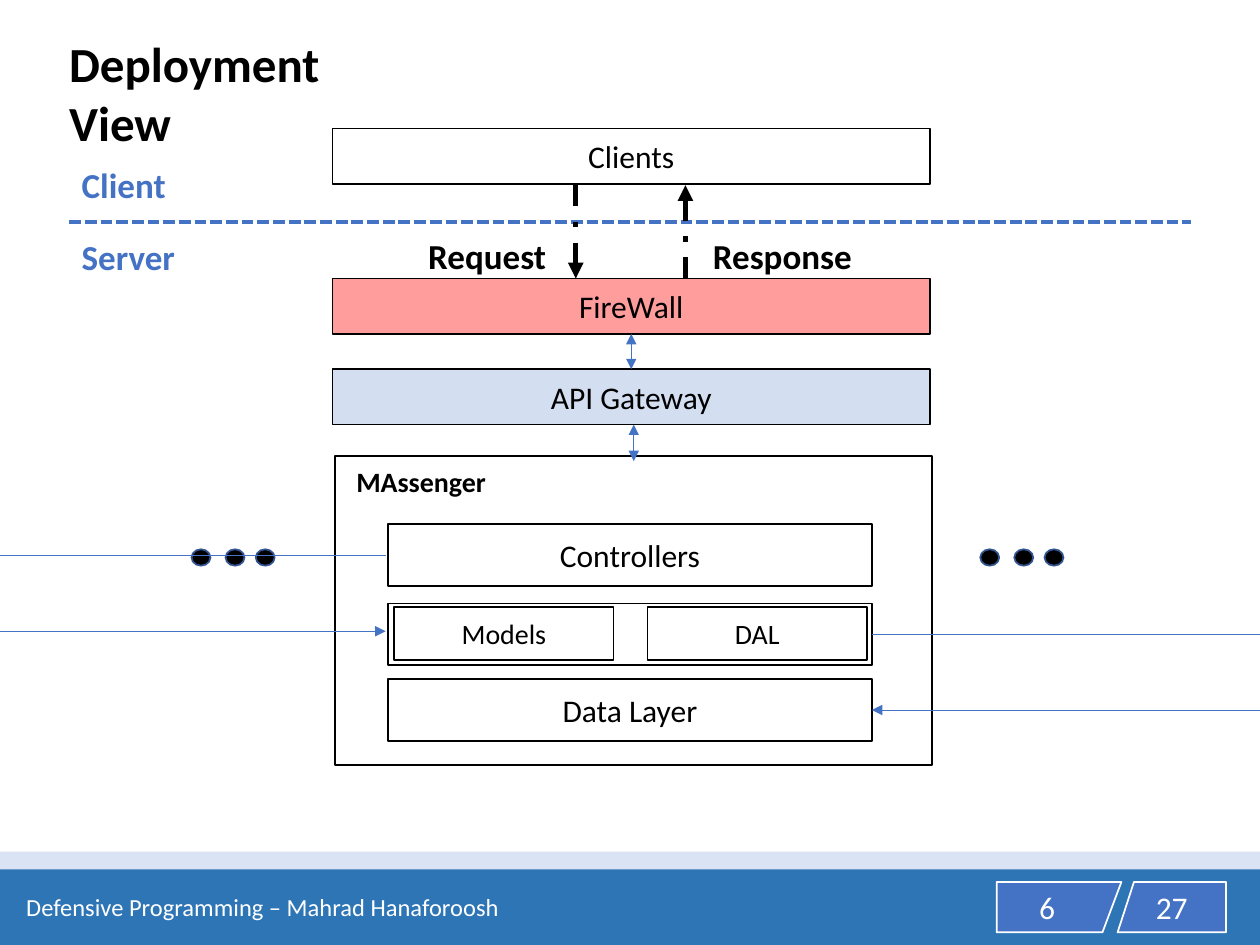
from pptx import Presentation
from pptx.dml.color import RGBColor
from pptx.enum.dml import MSO_LINE_DASH_STYLE as Dash
from pptx.enum.shapes import MSO_CONNECTOR as Wire, MSO_SHAPE as Form
from pptx.enum.text import MSO_ANCHOR as Anchor, PP_ALIGN as Align
from pptx.oxml.ns import qn
from pptx.util import Inches, Pt
from lxml.etree import SubElement

THEME = {
    "font": "Calibri", "title": 28, "label": 20, "body": 18, "small": 16, "footer": 14,
    "black": "000000", "white": "FFFFFF", "blue": "4472C4", "pale": "DAE3F3",
    "band": "2E75B6", "red": "FF0000", "gateway": "8FAADC", "dot_edge": "325491",
}
COLUMNS, ROWS = 100, 75

deck = Presentation()
deck.slide_width, deck.slide_height = Inches(10), Inches(7.5)
slide = deck.slides.add_slide(deck.slide_layouts[6])
shapes = slide.shapes
column, row = deck.slide_width / COLUMNS, deck.slide_height / ROWS


def put(area, text="", size="body", ink="black", fill=None, edge=None, bold=False,
        form=Form.RECTANGLE, outline=None, align=Align.CENTER, anchor=Anchor.MIDDLE, alpha=None):
    if outline:
        points = [(round(x * column), round(y * row)) for x, y in outline]
        builder = shapes.build_freeform(*points[0], scale=1.0)
        builder.add_line_segments(points[1:], close=True)
        part = builder.convert_to_shape()
    else:
        left, top, width, height = area
        place = [round(v) for v in (left * column, top * row, width * column, height * row)]
        part = shapes.add_shape(form, *place) if fill else shapes.add_textbox(*place)
    if fill:
        part.shadow.inherit = False
        part.fill.solid()
        part.fill.fore_color.rgb = RGBColor.from_string(THEME[fill])
        if alpha:
            color = part.fill._xPr.find(qn("a:solidFill"))[0]
            SubElement(color, qn("a:alpha"), val=str(alpha * 1000))
        if edge:
            part.line.color.rgb = RGBColor.from_string(THEME[edge])
            part.line.width = Pt(1)
        else:
            part.line.fill.background()
    if text:
        part.text_frame.word_wrap = True
        part.text_frame.vertical_anchor = anchor
        paragraph = part.text_frame.paragraphs[0]
        paragraph.alignment = align
        run = paragraph.add_run()
        run.text = text
        run.font.color.rgb = RGBColor.from_string(THEME[ink])
        for key, value in {"name": THEME["font"], "size": Pt(THEME[size]), "bold": bold}.items():
            setattr(run.font, key, value)
    return part


def link(start, finish, width=0.5, ink="blue", dash=None, ends=(), begin=None, end=None):
    ends_at = [round(v) for x, y in (start, finish) for v in (x * column, y * row)]
    wire = shapes.add_connector(Wire.STRAIGHT, *ends_at)
    if begin:
        wire.begin_connect(*begin)
    if end:
        wire.end_connect(*end)
    wire.line.color.rgb = RGBColor.from_string(THEME[ink])
    for key, value in {"width": Pt(width), "dash_style": dash}.items():
        setattr(wire.line, key, value)
    for tip in ends:
        SubElement(wire.line._ln, qn("a:" + tip), type="triangle")
    SubElement(wire._element.spPr, qn("a:effectLst"))


put((0, 67.6, COLUMNS, 7.4), fill="pale")
put((0, 69, COLUMNS, 6), fill="band")
badge = {"fill": "blue", "edge": "white", "ink": "white"}
put(None, outline=[(79.1, 70), (89, 70), (87.5, 74), (79.1, 74)], **badge)
put(None, "27", outline=[(90, 70), (97.3, 70), (97.3, 74), (88.7, 74)], **badge)
put((79.2, 70, 7.8, 4), "6", ink="white", anchor=Anchor.TOP)
put((0.9, 70, 39.9, 4), "Defensive Programming – Mahrad Hanaforoosh", size="footer", ink="white")

heading = {"bold": True, "align": Align.LEFT, "anchor": Anchor.TOP}
put((4.5, 2.2, 29.5, 5.7), "Deployment View", size="title", **heading)
link((5.5, 17.6), (94.5, 17.6), width=2.25, dash=Dash.SQUARE_DOT)
for text, left, top, width, ink in [
    ("Client", 5.5, 12.5, 12, "blue"), ("Server", 5.5, 18.2, 12, "blue"),
    ("Request", 33, 18.1, 11.4, "black"), ("Response", 55.6, 18.1, 13, "black"),
]:
    put((left, top, width, 4.4), text, size="label", ink=ink, **heading)

box = {"fill": "white", "edge": "black"}
put((26.4, 10.2, 47.4, 4.4), "Clients", **box)
for x, start, finish in [(45.7, 14.7, 22.1), (54.4, 22.1, 14.7)]:
    link((x, start), (x, finish), width=3, ink="black", dash=Dash.DASH_DOT, ends=["tailEnd"])
firewall = put((26.4, 22.1, 47.4, 4.4), "FireWall", fill="red", edge="black", alpha=39)
gateway = put((26.4, 29.3, 47.4, 4.4), "API Gateway", fill="gateway", edge="black", alpha=39)
put((26.6, 36.2, 47.4, 24.5), **box)

for left in (15.2, 17.9, 20.3, 77.8, 80.5, 82.9):
    put((left, 43.6, 1.5, 1.3), fill="black", edge="dot_edge", form=Form.OVAL)

both_ends = ["headEnd", "tailEnd"]
link((50.1, 26.5), (50.1, 29.3), ends=both_ends, begin=(firewall, 2), end=(gateway, 0))
link((50.3, 33.7), (50.3, 36.6), ends=both_ends)

put((27.3, 36.4, 13, 3.7), "MAssenger", size="small", **heading)
data_layer = put((30.8, 53.9, 38.4, 4.9), "Data Layer", **box)
model_tier = put((30.8, 47.9, 38.4, 4.9), **box)
for text, left in [("Models", 31.3), ("DAL", 51.4)]:
    put((left, 48.2, 17.4, 4.2), text, size="small", **box)
put((30.8, 41.6, 38.4, 4.9), "Controllers", **box)

link((69.2, 50.35), (COLUMNS, 50.35), begin=(model_tier, 3))
link((COLUMNS, 56.35), (69.2, 56.35), ends=["tailEnd"], end=(data_layer, 3))
link((30.6, 44.1), (0, 44.1))
link((0, 50.1), (30.6, 50.1), ends=["tailEnd"])

deck.save("out.pptx")
